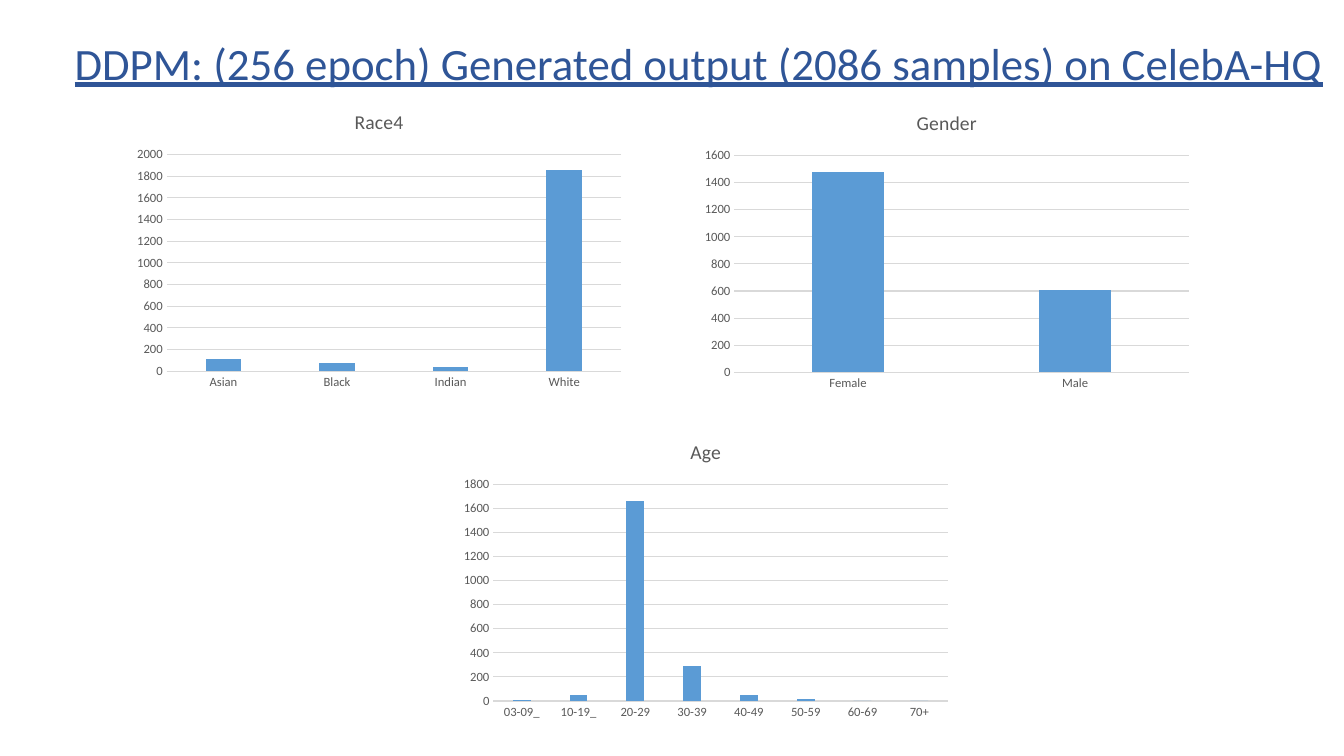
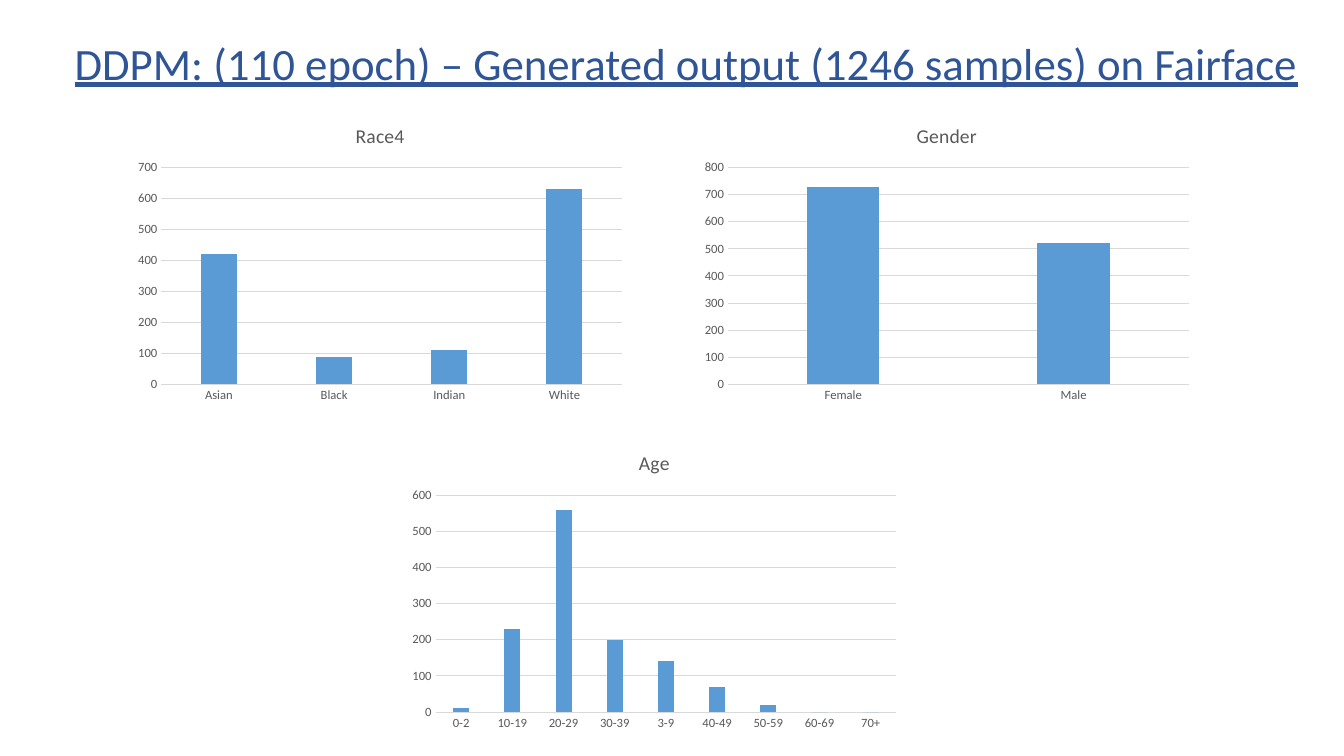
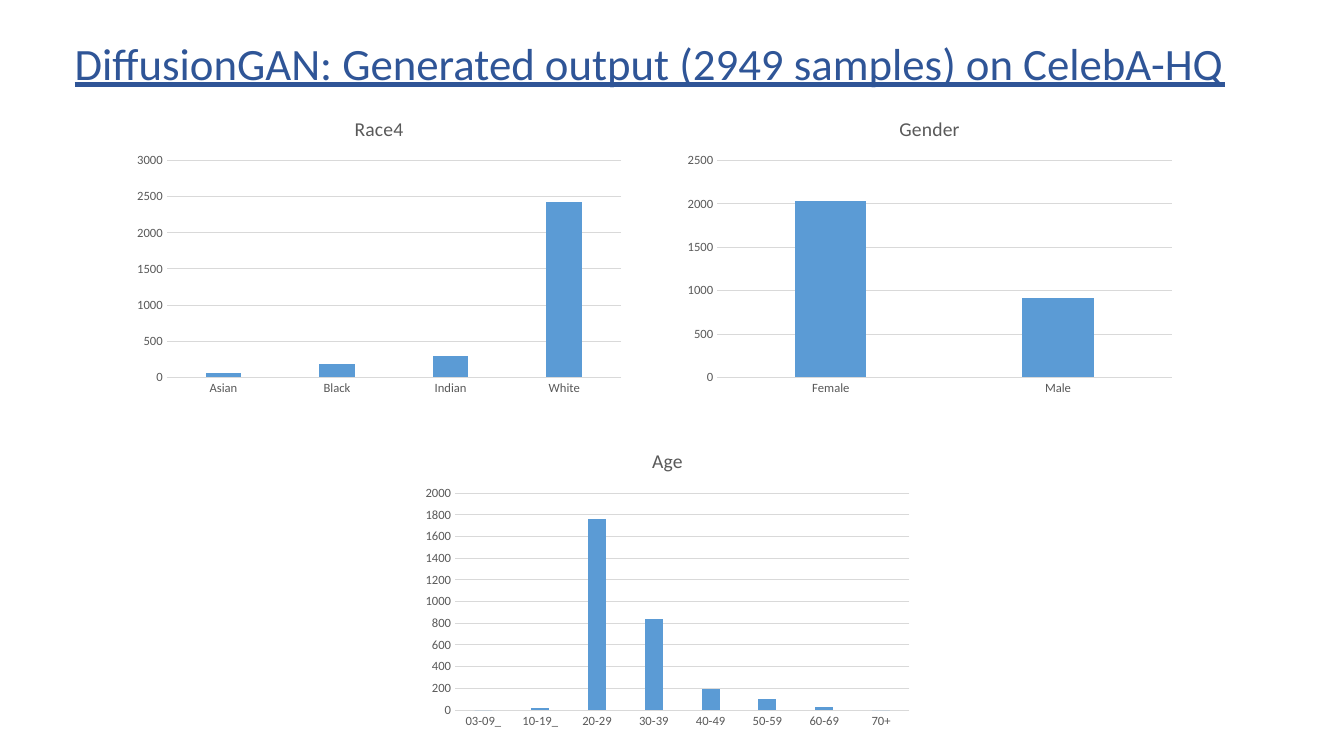
from pptx import Presentation
from pptx.chart.data import CategoryChartData as Data
from pptx.dml.color import RGBColor
from pptx.enum.chart import XL_CHART_TYPE as Kind, XL_TICK_MARK as Tick
from pptx.enum.text import MSO_ANCHOR as Anchor, MSO_AUTO_SIZE as Fit, PP_ALIGN as Align
from pptx.util import Inches, Pt

# Shared style
FACE = "Calibri"
NAVY, BLUE, GRAY, PALE, BLACK = "2F5597", "5B9BD5", "595959", "D9D9D9", "000000"
WIDE, HIGH = 5, 3


def tint(code):
    return RGBColor.from_string(code)


def style(font, size, code):
    font.name, font.size, font.bold = FACE, Pt(size), False
    font.color.rgb = tint(code)


# Groups counted in the charts
RACE = ["Asian", "Black", "Indian", "White"]
SEX = ["Female", "Male"]
OLDER = ["40-49", "50-59", "60-69", "70+"]
AGE = ["03-09_", "10-19_", "20-29", "30-39"] + OLDER
AGE_FAIR = ["0-2", "10-19", "20-29", "30-39", "3-9"] + OLDER

# Each slide: title, then charts as (name, left, top, groups, counts)
SLIDES = [
    ("DDPM: (256 epoch) Generated output (2086 samples) on CelebA-HQ", [
        ("Race4", 1.26, 0.93, RACE, [110, 80, 40, 1860]),
        ("Gender", 6.89, 0.94, SEX, [1480, 610]),
        ("Age", 4.5, 4.2, AGE, [10, 50, 1660, 290, 50, 20, 0, 0]),
    ]),
    ("DDPM: (110 epoch) – Generated output (1246 samples) on Fairface", [
        ("Race4", 1.27, 1.06, RACE, [420, 90, 110, 630]),
        ("Gender", 6.89, 1.06, SEX, [730, 520]),
        ("Age", 3.99, 4.31, AGE_FAIR, [10, 230, 560, 200, 140, 70, 20, 0, 0]),
    ]),
    ("DiffusionGAN: Generated output (2949 samples) on CelebA-HQ", [
        ("Race4", 1.26, 0.99, RACE, [60, 180, 300, 2420]),
        ("Gender", 6.72, 0.99, SEX, [2030, 920]),
        ("Age", 4.12, 4.29, AGE, [0, 20, 1760, 840, 190, 100, 30, 0]),
    ]),
]

deck = Presentation()
deck.slide_width, deck.slide_height = Inches(13.33), Inches(7.5)

for head, charts in SLIDES:
    slide = deck.slides.add_slide(deck.slide_layouts[5])

    # Title
    title = slide.shapes.title
    title.left, title.top = Inches(0.64), Inches(0.3)
    title.width, title.height = Inches(12.7), Inches(0.64)
    frame = title.text_frame
    frame.text = head
    frame.word_wrap, frame.auto_size = True, Fit.NONE
    frame.vertical_anchor = Anchor.TOP
    para = frame.paragraphs[0]
    para.alignment = Align.LEFT
    style(para.font, 32, NAVY)
    para.font.underline = True

    for name, left, top, groups, counts in charts:
        # Chart and its name
        data = Data()
        data.categories = groups
        data.add_series(name, counts)
        chart = slide.shapes.add_chart(
            Kind.COLUMN_CLUSTERED, Inches(left), Inches(top),
            Inches(WIDE), Inches(HIGH), data).chart
        style(chart.font, 10, BLACK)
        chart.has_legend = False
        chart.has_title = True
        chart.chart_title.include_in_layout = False
        label = chart.chart_title.text_frame
        label.text = name
        style(label.paragraphs[0].font, 14, GRAY)

        # Columns
        plot = chart.plots[0]
        plot.gap_width, plot.overlap = 219, -27
        plot.vary_by_categories = False
        fill = plot.series[0].format.fill
        fill.solid()
        fill.fore_color.rgb = tint(BLUE)

        # Axes and grid
        base, scale = chart.category_axis, chart.value_axis
        for axis in (base, scale):
            axis.major_tick_mark = axis.minor_tick_mark = Tick.NONE
            style(axis.tick_labels.font, 9, GRAY)
        scale.format.line.fill.background()
        scale.has_major_gridlines = True
        for line in (base.format.line, scale.major_gridlines.format.line):
            line.color.rgb = tint(PALE)
            line.width = Pt(0.75)

deck.save("out.pptx")
